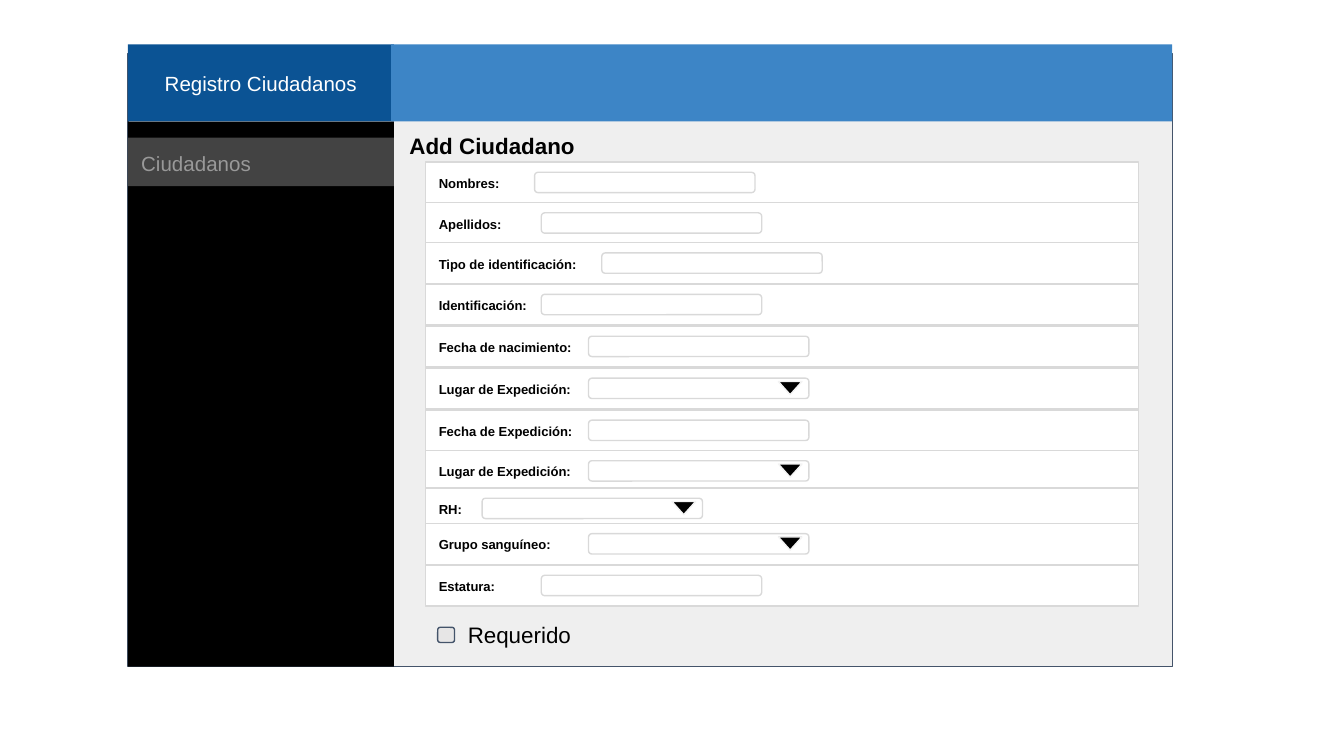
from pptx import Presentation
from pptx.dml.color import RGBColor
from pptx.enum.shapes import MSO_SHAPE
from pptx.enum.text import MSO_ANCHOR, PP_ALIGN
from pptx.util import Pt

COLORS = {
    "white": "FFFFFF", "black": "000000", "panel": "EFEFEF", "brand": "0B5394",
    "banner": "3D85C6", "menu": "434343", "muted": "999999", "rule": "D9D9D9",
    "outline": "44546A", "checkbox": "E7E6E6", "arrow_edge": "F3F3F3",
}
FIELD_WIDTH, FIELD_HEIGHT = 118.1, 10.9
ROW_HEIGHT = 22

# label, row top, field left, is a drop-down
ROWS = [
    ("Nombres:", 0, 58.4, False),
    ("Apellidos:", 21.7, 62, False),
    ("Tipo de identificación:", 43.2, 94.4, False),
    ("Identificación:", 65.4, 62, False),
    ("Fecha de nacimiento:", 87.8, 87.3, False),
    ("Lugar de Expedición:", 110.3, 87.3, True),
    ("Fecha de Expedición:", 132.8, 87.3, False),
    ("Lugar de Expedición:", 154.5, 87.3, True),
    ("RH:", 174.6, 30.3, True),
    ("Grupo sanguíneo:", 193.6, 87.3, True),
    ("Estatura:", 215.9, 62, False),
]


def color(name):
    """Return the named palette colour."""
    return RGBColor.from_string(COLORS[name])


def add_block(slide, box, fill, line=None, preset=MSO_SHAPE.RECTANGLE):
    """Add a filled preset shape in a box of points."""
    block = slide.shapes.add_shape(preset, *map(Pt, box))
    block.shadow.inherit = False
    block.fill.solid()
    block.fill.fore_color.rgb = color(fill)
    if line:
        block.line.color.rgb = color(line)
        block.line.width = Pt(0.75)
    else:
        block.line.fill.background()
    return block


def write(holder, text, size, ink="black", bold=False,
          anchor=MSO_ANCHOR.MIDDLE, align=PP_ALIGN.LEFT):
    """Write one styled paragraph into a shape."""
    frame = holder.text_frame
    frame.word_wrap = True
    frame.vertical_anchor = anchor
    frame.margin_left = frame.margin_right = Pt(7.2)
    frame.margin_top = frame.margin_bottom = Pt(7.2)
    paragraph = frame.paragraphs[0]
    paragraph.text = text
    paragraph.alignment = align
    paragraph.font.name = "Arial"
    paragraph.font.size = Pt(size)
    paragraph.font.bold = bold
    paragraph.font.color.rgb = color(ink)


def add_header(slide, left, top, width, height):
    """Draw the title cell and the banner beside it."""
    brand = add_block(slide, (left, top, 142.5, height), "brand")
    write(brand, "Registro Ciudadanos", 11, "white", align=PP_ALIGN.CENTER)
    add_block(slide, (left + 141, top, width - 141, height), "banner")


def add_sidebar(slide, left, top, width, height):
    """Draw the dark side menu with its entry."""
    add_block(slide, (left, top, width, height), "black")
    entry = add_block(slide, (left, top + 8.6, width, 26), "menu")
    write(entry, "Ciudadanos", 11, "muted", anchor=MSO_ANCHOR.TOP)


def add_field(slide, left, top, dropdown):
    """Draw an input field, with an arrow if it is a drop-down."""
    field = add_block(slide, (left, top, FIELD_WIDTH, FIELD_HEIGHT),
                      "white", "rule", MSO_SHAPE.ROUNDED_RECTANGLE)
    field.adjustments[0] = 0.167
    if dropdown:
        add_block(slide, (left + 101.7, top + 1.8, 12.6, 7), "black",
                  "arrow_edge", MSO_SHAPE.FLOWCHART_MERGE)


def add_form(slide, left, top, width):
    """Draw the labelled rows of the form."""
    for label, row_top, field_left, dropdown in ROWS:
        row = add_block(slide, (left, top + row_top, width, ROW_HEIGHT),
                        "white", "rule")
        write(row, label, 7, bold=True, anchor=MSO_ANCHOR.TOP)
        add_field(slide, left + field_left, top + row_top + 5.5, dropdown)


def add_required(slide, left, top, width, height):
    """Draw the checkbox and its caption."""
    checkbox = add_block(slide, (left, top + 4.1, 9, 8.1), "checkbox",
                         "outline", MSO_SHAPE.ROUNDED_RECTANGLE)
    checkbox.adjustments[0] = 0.167
    caption = slide.shapes.add_textbox(
        *map(Pt, (left + 9, top, width - 9, height)))
    write(caption, "Requerido", 12)


def add_window(slide, left, top, width, height):
    """Draw the whole application window in its box."""
    header_height, sidebar_width = 41.3, 142.5
    body_top = top + header_height
    add_block(slide, (left, top + 5, width, height - 5), "panel", "outline")
    add_header(slide, left, top, width, header_height)
    add_sidebar(slide, left, body_top, sidebar_width, height - header_height)
    heading = slide.shapes.add_textbox(
        *map(Pt, (left + 143.8, top + 44.3, 134.6, 20.2)))
    write(heading, "Add Ciudadano", 12, bold=True)
    add_form(slide, left + 159.5, top + 63, 382)
    add_required(slide, left + 166, top + 308.2, 101.2, 15.8)


def main():
    """Build and save the slide."""
    presentation = Presentation()
    presentation.slide_width = Pt(720)
    presentation.slide_height = Pt(405)
    slide = presentation.slides.add_slide(presentation.slide_layouts[6])
    add_window(slide, 68.5, 23.8, 559.5, 333.3)
    presentation.save("out.pptx")


if __name__ == "__main__":
    main()
